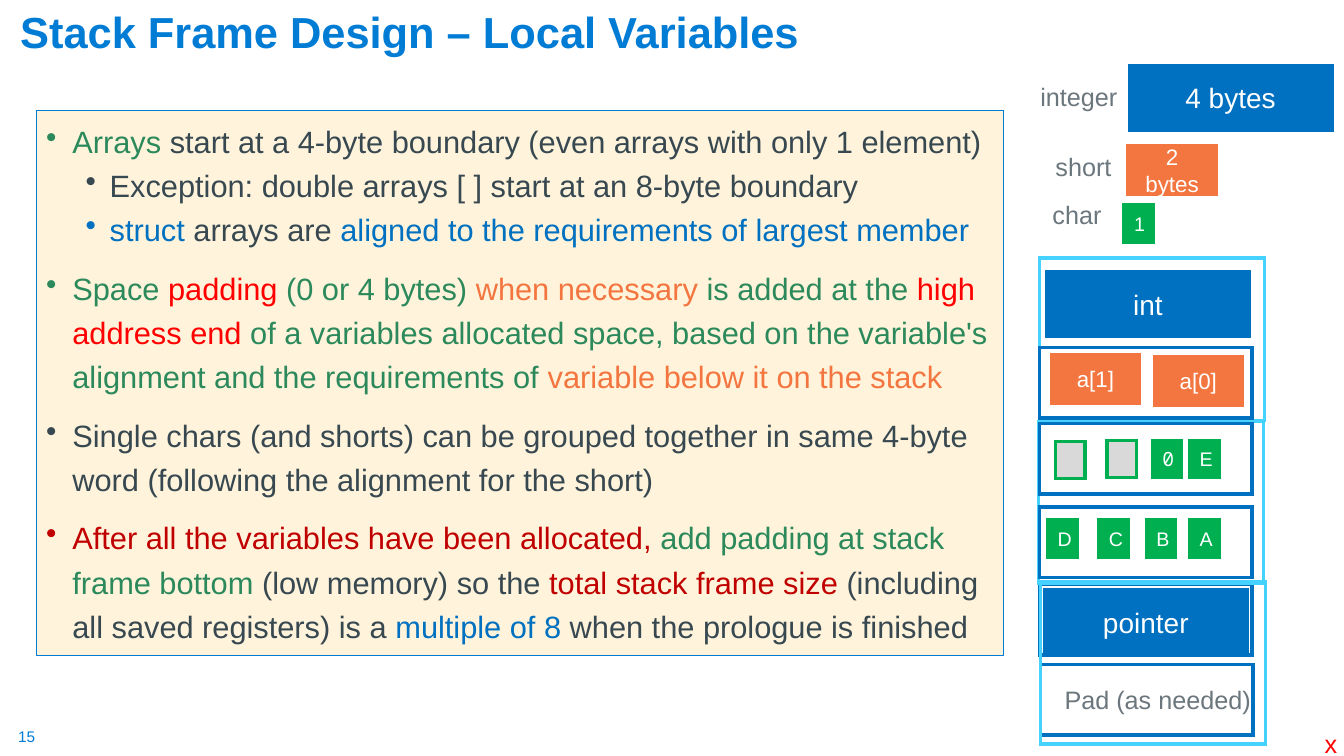
from lxml.etree import SubElement
from pptx import Presentation
from pptx.dml.color import RGBColor
from pptx.enum.shapes import MSO_SHAPE as SHAPE
from pptx.enum.text import MSO_ANCHOR as ANCHOR, PP_ALIGN as ALIGN
from pptx.oxml.ns import qn
from pptx.util import Emu, Inches, Pt

SKY = RGBColor(0x00, 0x7C, 0xD5)
BLUE = RGBColor(0x00, 0x70, 0xC0)
CYAN = RGBColor(0x46, 0xD2, 0xFF)
GREEN = RGBColor(0x00, 0xB0, 0x50)
LEAF = RGBColor(0x2C, 0x89, 0x5B)
ORANGE = RGBColor(0xF3, 0x75, 0x3F)
RED = RGBColor(0xFF, 0x00, 0x00)
CRIMSON = RGBColor(0xC0, 0x00, 0x00)
SLATE = RGBColor(0x38, 0x48, 0x51)
GRAY = RGBColor(0x6B, 0x76, 0x7D)
SILVER = RGBColor(0xD9, 0xD9, 0xD9)
CREAM = RGBColor(0xFF, 0xF4, 0xDB)
WHITE = RGBColor(0xFF, 0xFF, 0xFF)

deck = Presentation()
deck.slide_width, deck.slide_height = Inches(13.33), Inches(7.5)
COL = deck.slide_width / 13.33
ROW = deck.slide_height / 7.5
slide = deck.slides.add_slide(deck.slide_layouts[5])


def write(paragraph, text, size=22, color=WHITE, font="Arial", bold=False):
    run = paragraph.add_run()
    run.text = text
    run.font.size, run.font.name, run.font.bold = Pt(size), font, bold
    run.font.color.rgb = color


def place(col, row, cols, rows, fill=None, line=None, weight=2.5):
    """Add a rectangle on the grid, or a text box if it has no fill and no line."""
    area = [Emu(round(n)) for n in (col * COL, row * ROW, cols * COL, rows * ROW)]
    if fill is None and line is None:
        return slide.shapes.add_textbox(*area)
    rect = slide.shapes.add_shape(SHAPE.RECTANGLE, *area)
    rect.shadow.inherit = False
    if fill is None:
        rect.fill.background()
    else:
        rect.fill.solid()
        rect.fill.fore_color.rgb = fill
    rect.line.color.rgb, rect.line.width = line, Pt(weight)
    SubElement(rect.line._get_or_add_ln(), qn("a:miter")).set("lim", "800000")
    rect.text_frame.word_wrap = True
    rect.text_frame.vertical_anchor = ANCHOR.MIDDLE
    rect.text_frame.paragraphs[0].alignment = ALIGN.CENTER
    return rect


# Title
title = slide.shapes.title
title.left, title.top = round(0.1 * COL), round(0.12 * ROW)
title.width, title.height = round(9.39 * COL), round(0.5 * ROW)
title.text_frame.vertical_anchor = ANCHOR.BOTTOM
heading = title.text_frame.paragraphs[0]
heading.alignment, heading.line_spacing = ALIGN.LEFT, 0.9
write(heading, "Stack Frame Design – Local Variables", size=31, color=SKY, bold=True)

# Alignment rules: level, then coloured pieces of text
rules = [
    (0, [("Arrays", LEAF),
         (" start at a 4-byte boundary (even arrays with only 1 element)", SLATE)]),
    (1, [("Exception: double arrays [ ] start at an 8-byte boundary", SLATE)]),
    (1, [("struct", BLUE), (" arrays are ", SLATE),
         ("aligned to the requirements of largest member", BLUE)]),
    (0, [("Space ", LEAF), ("padding", RED), (" (0 or 4 bytes) ", LEAF),
         ("when necessary", ORANGE), (" is added at the ", LEAF),
         ("high address end ", RED),
         ("of a variables allocated space, based on the variable's alignment "
          "and the requirements of ", LEAF),
         ("variable below it on the stack", ORANGE)]),
    (0, [("Single chars (and shorts) can be grouped together in same 4-byte word "
          "(following the alignment for the short)", SLATE)]),
    (0, [("After all the variables have been allocated, ", CRIMSON),
         ("add padding at stack frame bottom ", LEAF),
         ("(low memory) so the ", SLATE), ("total stack frame size ", CRIMSON),
         ("(including all saved registers) is a ", SLATE),
         ("multiple of 8 ", BLUE), ("when the prologue is finished", SLATE)]),
]
LEVELS = [(0.26, -0.26, 1.2, 10), (0.63, -0.24, 1.0, 5)]
panel = place(0.36, 1.1, 9.59, 5.4, fill=CREAM, line=SKY, weight=0.75).text_frame
panel.vertical_anchor = ANCHOR.TOP
for number, (level, pieces) in enumerate(rules):
    margin, indent, spacing, before = LEVELS[level]
    rule = panel.add_paragraph() if number else panel.paragraphs[0]
    rule.alignment, rule.level, rule.line_spacing = ALIGN.LEFT, level, spacing
    rule.space_before = Pt(before if number else 0)
    properties = rule._p.get_or_add_pPr()
    properties.set("marL", str(Inches(margin)))
    properties.set("indent", str(Inches(indent)))
    SubElement(properties, qn("a:buChar")).set("char", "•")
    for text, color in pieces:
        write(rule, text, color=color)

# Stack outlines, from back to front: 4-byte words and 8-byte pairs
WORD, PAIR = (2.11, 0.7, BLUE), (2.23, 1.61, CYAN)
outlines = [(10.31, 5.8, WORD), (10.3, 4.18, PAIR), (10.31, 5.03, WORD),
            (10.31, 4.2, WORD), (10.31, 2.56, PAIR), (10.32, 6.59, WORD),
            (10.32, 5.77, PAIR), (10.31, 3.45, WORD)]
for col, row, (cols, rows, color) in outlines:
    place(col, row, cols, rows, line=color)

# Variables: width, height, fill, line and text size of each type
INT = (2.01, 0.64, BLUE, BLUE, 20)
SHORT = (0.87, 0.48, ORANGE, ORANGE, 16)
CHAR = (0.29, 0.37, GREEN, GREEN, 14)
UNUSED = (0.29, 0.37, SILVER, GREEN, 14)
variables = [
    ("4 bytes", 11.2, 0.65, INT), ("2 bytes", 11.19, 1.45, SHORT), ("1", 11.15, 2.03, CHAR),
    ("int", 10.38, 2.7, INT), ("a[1]", 10.43, 3.52, SHORT), ("a[0]", 11.45, 3.54, SHORT),
    ("", 10.47, 4.38, UNUSED), ("", 10.98, 4.37, UNUSED),
    ("0", 11.43, 4.37, CHAR), ("E", 11.8, 4.37, CHAR),
    ("D", 10.39, 5.16, CHAR), ("C", 10.9, 5.16, CHAR),
    ("B", 11.37, 5.16, CHAR), ("A", 11.8, 5.16, CHAR),
    ("pointer", 10.36, 5.85, INT),
]
for text, col, row, (cols, rows, fill, line, size) in variables:
    variable = place(col, row, cols, rows, fill=fill, line=line)
    if text:
        write(variable.text_frame.paragraphs[0], text, size=size,
              font="Noto Sans Mono" if text == "0" else "Arial")

# Labels and page number
labels = [("integer", 10.22, 0.76, 0.97, GRAY), ("short", 10.37, 1.45, 0.76, GRAY),
          ("char", 10.34, 1.93, 0.69, GRAY), ("Pad (as needed)", 10.46, 6.74, 2.07, GRAY),
          ("x", 13.04, 7.18, 0.33, RED)]
for text, col, row, cols, color in labels:
    label = place(col, row, cols, 0.4).text_frame
    label.word_wrap = False
    write(label.paragraphs[0], text, size=18, color=color)

page = place(0.18, 7.21, 0.19, 0.19).text_frame
page.margin_left = page.margin_right = page.margin_top = page.margin_bottom = 0
page.word_wrap = False
write(page.paragraphs[0], "15", size=11, color=SKY)

deck.save("out.pptx")
